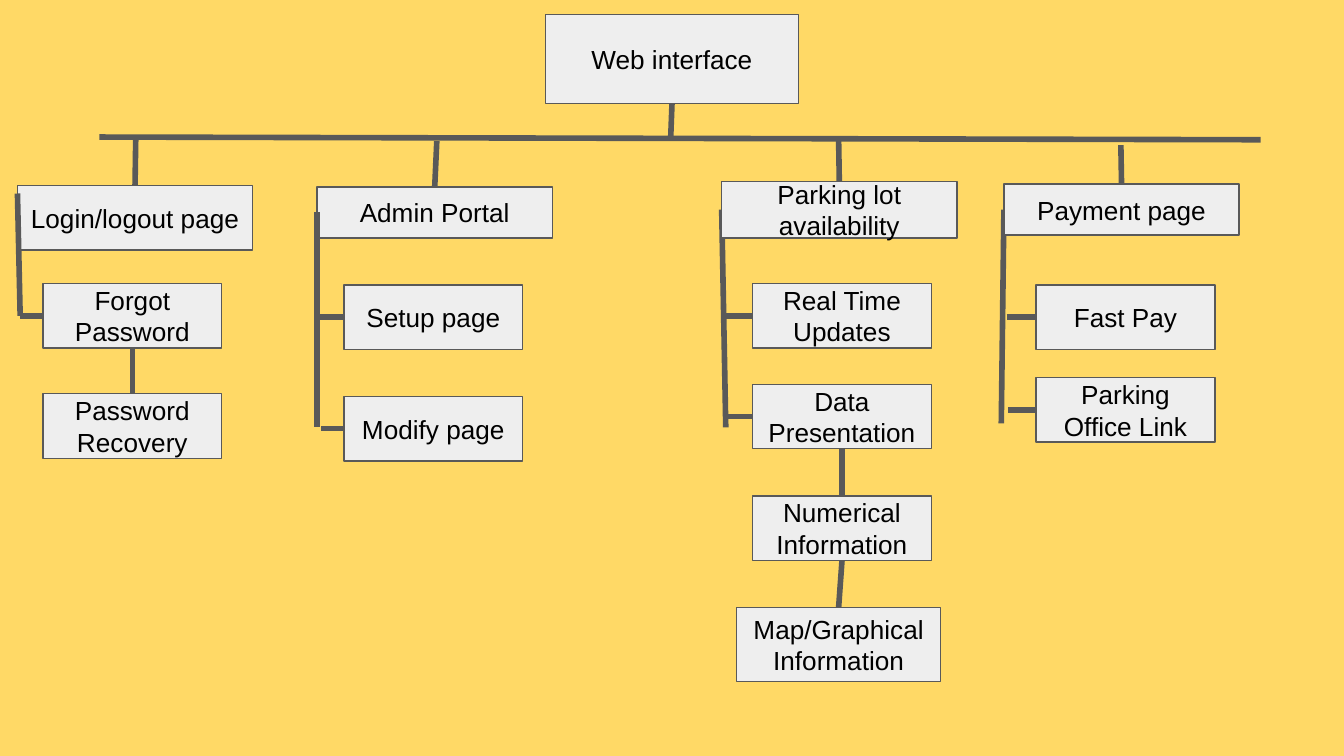
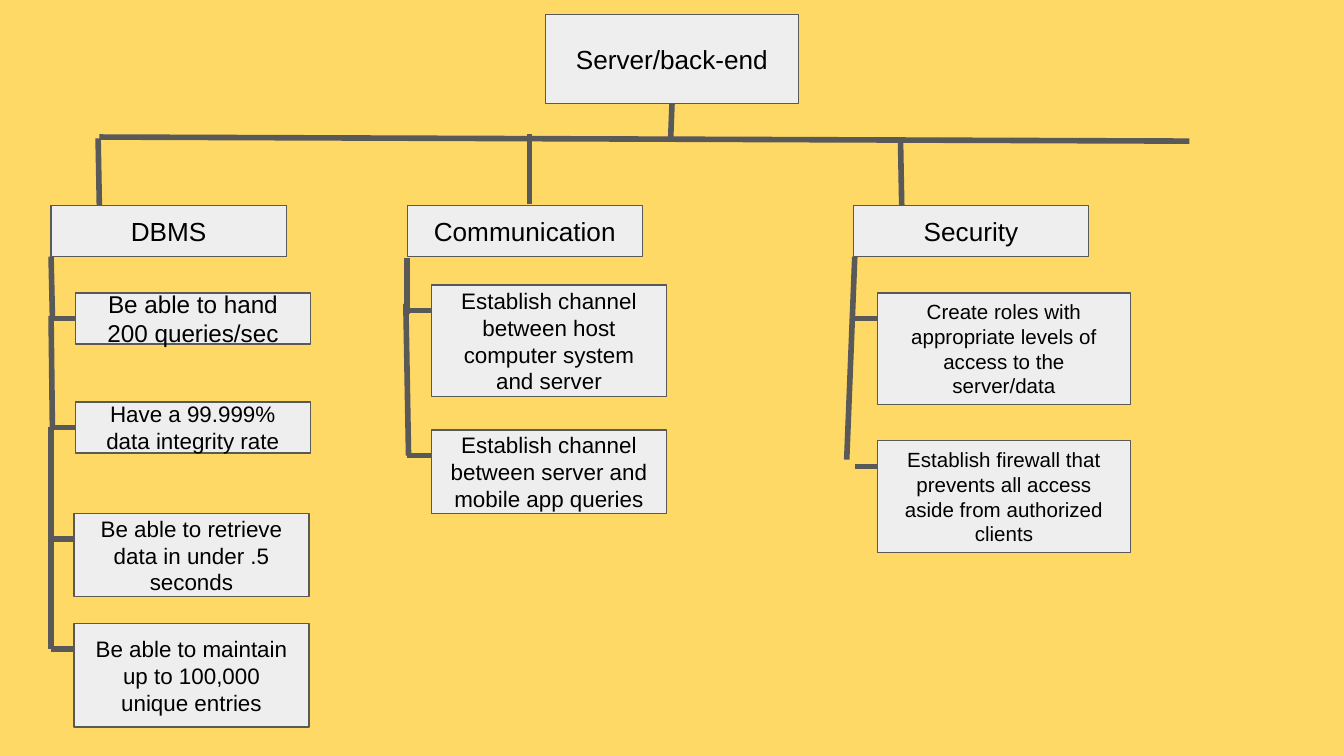
from dataclasses import dataclass

from lxml import etree
from pptx import Presentation
from pptx.dml.color import RGBColor
from pptx.enum import shapes, text
from pptx.oxml import ns
from pptx.util import Inches, Pt

COLUMNS, ROWS = 100, 56.25
TOP, LEFT, BOTTOM = 0, 1, 2
HEAD_WIDTH, HEAD_HEIGHT = 17.5, 3.8


@dataclass(frozen=True)
class Theme:
    background: RGBColor = RGBColor.from_string("FFD966")
    box: RGBColor = RGBColor.from_string("EEEEEE")
    line: RGBColor = RGBColor.from_string("595959")
    ink: RGBColor = RGBColor.from_string("000000")
    font: str = "Arial"
    regular: int = 14
    medium: int = 13
    small: int = 12
    tiny: int = 11
    outline: float = 0.75
    connector: float = 3


class TreeDeck:
    def __init__(self, theme):
        self.theme = theme
        self.presentation = Presentation()
        self.presentation.slide_width = Inches(10)
        self.presentation.slide_height = Inches(5.625)
        self.slide = None

    def x(self, columns):
        return round(self.presentation.slide_width * columns / COLUMNS)

    def y(self, rows):
        return round(self.presentation.slide_height * rows / ROWS)

    def start_slide(self, title, bar_start, bar_end):
        self.slide = self.presentation.slides.add_slide(self.presentation.slide_layouts[6])
        fill = self.slide.background.fill
        fill.solid()
        fill.fore_color.rgb = self.theme.background
        root = self.box(title, 40.6, 1.1, 18.8, 6.6)
        self.line((49.9, 10.4), (49.9, 7.7), end=(root, BOTTOM))
        self.line(bar_start, bar_end)

    def box(self, label, left, top, width, height, size=None):
        shape = self.slide.shapes.add_shape(
            shapes.MSO_SHAPE.RECTANGLE, self.x(left), self.y(top), self.x(width), self.y(height))
        shape.shadow.inherit = False
        shape.fill.solid()
        shape.fill.fore_color.rgb = self.theme.box
        shape.line.color.rgb = self.theme.line
        shape.line.width = Pt(self.theme.outline)
        frame = shape.text_frame
        frame.word_wrap = True
        frame.vertical_anchor = text.MSO_ANCHOR.MIDDLE
        frame.margin_left = frame.margin_right = self.x(1)
        frame.margin_top = frame.margin_bottom = self.y(1)
        frame.text = label
        paragraph = frame.paragraphs[0]
        paragraph.alignment = text.PP_ALIGN.CENTER
        font = paragraph.runs[0].font
        font.name = self.theme.font
        font.size = Pt(size or self.theme.regular)
        font.color.rgb = self.theme.ink
        return shape

    def line(self, start, finish, begin=None, end=None):
        connector = self.slide.shapes.add_connector(
            shapes.MSO_CONNECTOR.STRAIGHT,
            self.x(start[0]), self.y(start[1]), self.x(finish[0]), self.y(finish[1]))
        connector.line.color.rgb = self.theme.line
        connector.line.width = Pt(self.theme.connector)
        etree.SubElement(connector._element.spPr, ns.qn("a:effectLst"))
        if begin:
            connector.begin_connect(*begin)
        if end:
            connector.end_connect(*end)

    def head(self, label, left, top, height=HEAD_HEIGHT, drop=None):
        shape = self.box(label, left, top, HEAD_WIDTH, height)
        if drop:
            self.line(drop, (left + HEAD_WIDTH / 2, top), end=(shape, TOP))
        return shape

    def leaf(self, label, left, top, stub, width=13.3, height=4.8, size=None, stub_drop=None):
        shape = self.box(label, left, top, width, height, size)
        drop = stub_drop or height / 2
        joint = (shape, LEFT) if drop == height / 2 else None
        self.line((stub, top + drop), (left, top + drop), end=joint)
        return shape

    def below(self, parent, label, left, top, width=13.3, height=4.8):
        shape = self.box(label, left, top, width, height)
        middle = left + width / 2
        self.line((middle, top), (middle, top), begin=(parent, BOTTOM), end=(shape, TOP))
        return shape


def build_web_interface(deck):
    deck.start_slide("Web interface", (7.4, 10.2), (93.8, 10.4))

    deck.head("Login/logout page", 1.3, 13.8, 4.8, drop=(10.1, 10.4))
    deck.line((1.5, 23.5), (1.3, 14.4))
    forgot = deck.leaf("Forgot Password", 3.2, 21.1, 1.5)
    deck.below(forgot, "Password Recovery", 3.2, 29.3)

    deck.head("Admin Portal", 23.6, 13.9, drop=(32.5, 10.5))
    deck.line((23.6, 15.8), (23.6, 31.8))
    deck.leaf("Setup page", 25.6, 21.2, 23.8)
    deck.leaf("Modify page", 25.6, 29.5, 23.9)

    deck.line((53.7, 15.6), (54, 31.8))
    deck.head("Parking lot availability", 53.7, 13.5, 4.2, drop=(62.4, 10.4))
    deck.leaf("Real Time Updates", 56, 21.1, 53.9)
    data = deck.leaf("Data Presentation", 56, 28.6, 53.9)
    numerical = deck.below(data, "Numerical Information", 56, 36.9)
    deck.below(numerical, "Map/Graphical Information", 54.8, 45.2, 15.2, 5.5)

    deck.line((74.7, 15.6), (74.5, 31.5))
    deck.head("Payment page", 74.7, 13.7, drop=(83.4, 10.8))
    deck.leaf("Fast Pay", 77.1, 21.2, 74.9)
    deck.leaf("Parking Office Link", 77.1, 28.1, 75)


def build_server(deck):
    theme = deck.theme
    deck.start_slide("Server/back-end", (7.4, 10.2), (88.5, 10.5))

    deck.line((7.3, 10.3), (7.4, 15.6))
    deck.head("DBMS", 3.8, 15.3)
    for start, finish in (((3.8, 19.1), (3.9, 23.5)), ((3.8, 23.5), (3.9, 31.8)),
                          ((3.8, 31.8), (3.8, 40.1)), ((3.8, 39.9), (3.8, 48.3))):
        deck.line(start, finish)
    for label, left, top, height, size in (
            ("Be able to hand 200 queries/sec", 5.6, 21.8, 3.8, theme.medium),
            ("Have a 99.999% data integrity rate", 5.6, 29.9, 3.8, theme.small),
            ("Be able to retrieve data in under .5 seconds", 5.5, 38.2, 6.2, theme.small),
            ("Be able to maintain up to 100,000 unique entries", 5.5, 46.4, 7.7, theme.small)):
        deck.leaf(label, left, top, 3.8, HEAD_WIDTH, height, size, HEAD_HEIGHT / 2)

    deck.line((39.4, 10), (39.4, 15.2))
    deck.head("Communication", 30.3, 15.3)
    deck.line((30.3, 19.2), (30.3, 23.4))
    deck.line((30.2, 22.6), (30.4, 33.9))
    for label, top, height in (
            ("Establish channel between host computer system and server", 21.2, 8.3),
            ("Establish channel between server and mobile app queries", 32, 6.2)):
        deck.leaf(label, 32.1, top, 30.3, HEAD_WIDTH, height, theme.small, HEAD_HEIGHT / 2)

    deck.line((67, 10.3), (67.1, 15.6))
    deck.head("Security", 63.5, 15.3)
    deck.line((63.6, 19.1), (63, 34.2))
    for label, top in (
            ("Create roles with appropriate levels of access to the server/data", 21.8),
            ("Establish firewall that prevents all access aside from authorized clients", 32.8)):
        deck.leaf(label, 65.3, top, 63.6, 18.8, 8.3, theme.tiny, HEAD_HEIGHT / 2)


def main():
    deck = TreeDeck(Theme())
    build_web_interface(deck)
    build_server(deck)
    deck.presentation.save("out.pptx")


if __name__ == "__main__":
    main()
